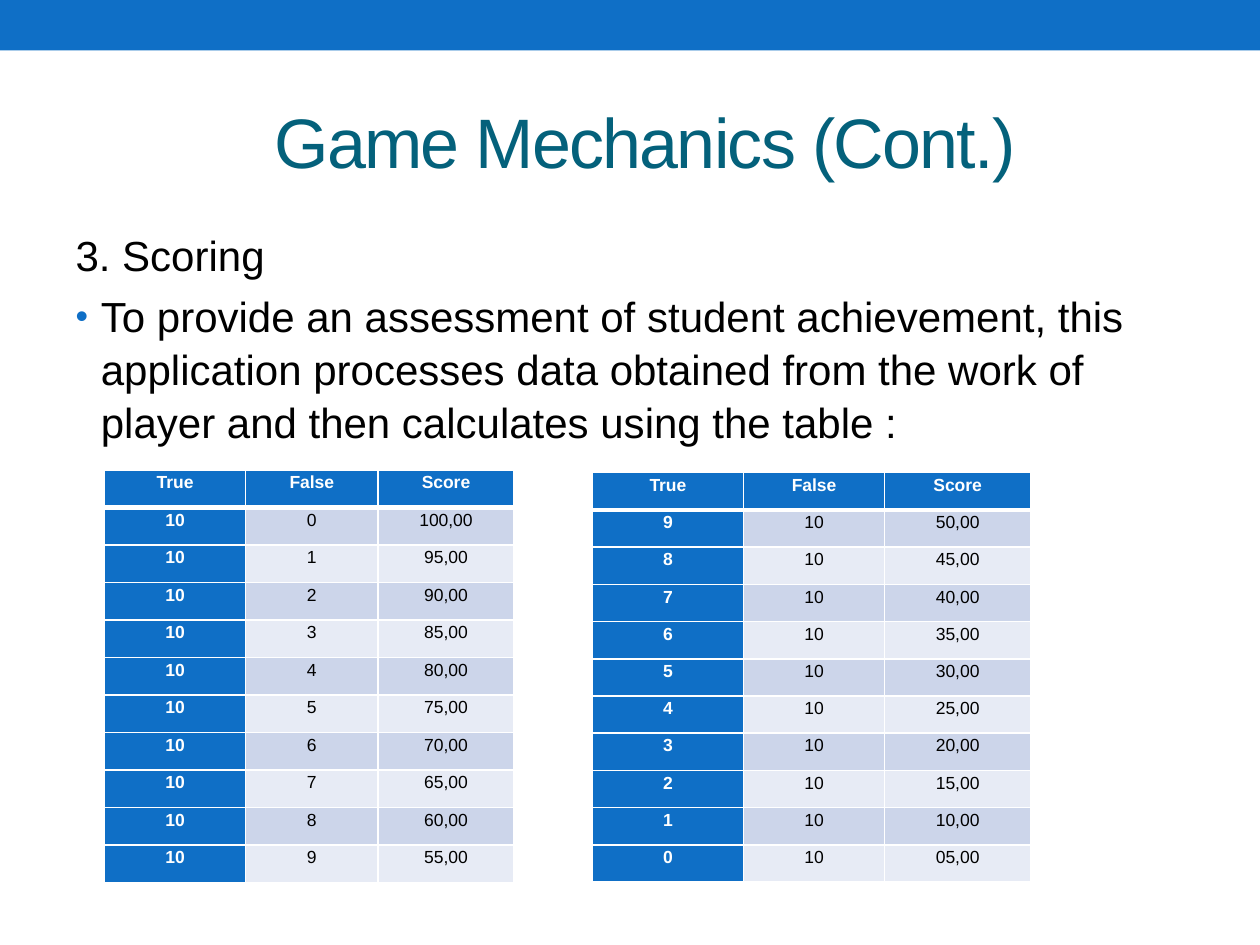
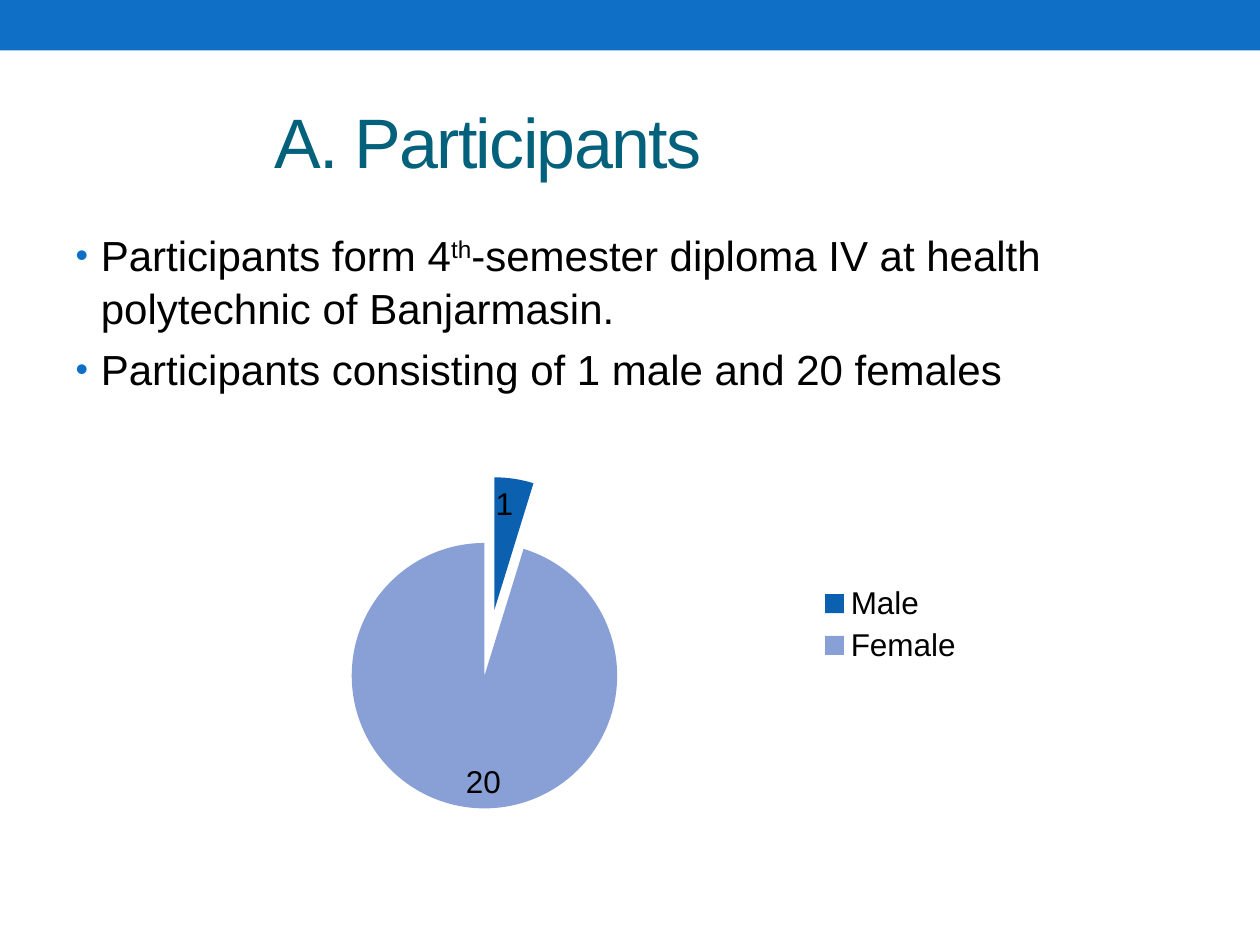
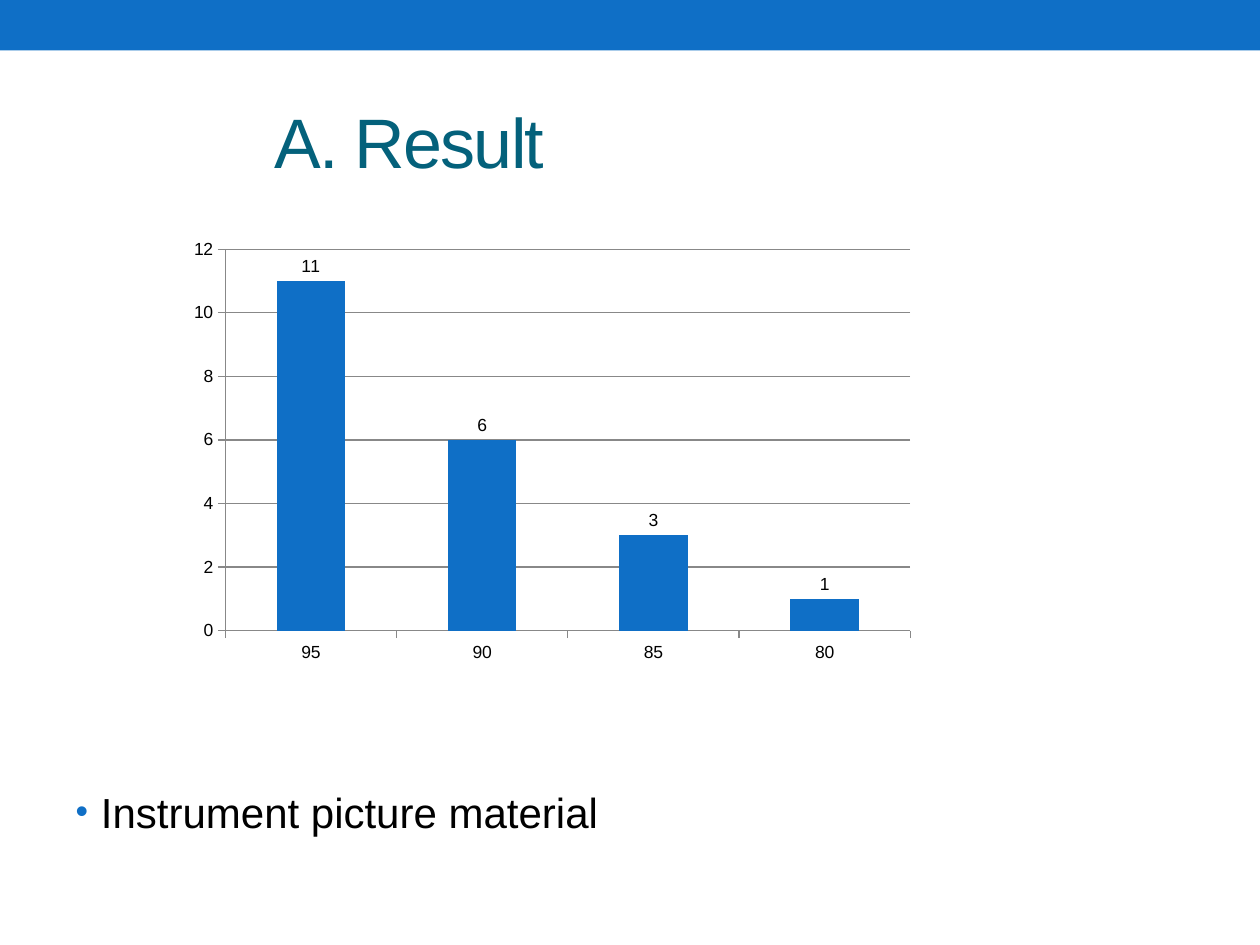
"""Build three slides on game scoring, participants and results."""
import pptx
import pptx.chart.data
import pptx.dml.color
import pptx.enum.chart
import pptx.enum.shapes
import pptx.enum.text
import pptx.oxml
import pptx.oxml.ns
import pptx.util

Cm = pptx.util.Cm
Pt = pptx.util.Pt
RGB = pptx.dml.color.RGBColor.from_string
XL = pptx.enum.chart
NS = pptx.oxml.ns.nsdecls("a")

THEME = {
    "font": "Arial",
    "blue": "0F6FC6", "title": "04617B", "text": "000000", "white": "FFFFFF",
    "row_dark": "CCD5EA", "row_light": "E7EBF5", "grid": "888888",
    "male": "0B61B0", "female": "88A0D6",
    "title_size": 40, "body_size": 24, "pie_size": 18, "small_size": 10,
}


def set_font(f, size, color, bold=False):
    values = {"name": THEME["font"], "size": Pt(THEME[size]), "bold": bold}
    for name, value in values.items():
        setattr(f, name, value)
    f.color.rgb = RGB(THEME[color])


def place(sp, left, top, width, height):
    box = {"left": left, "top": top, "width": width, "height": height}
    for name, value in box.items():
        setattr(sp, name, Cm(value))


prs = pptx.Presentation()
prs.slide_width, prs.slide_height = Cm(25.4), Cm(19.05)

pages = [
    {"title": "Game Mechanics (Cont.)", "body": (4.45, 13.54), "items": [
        (False, ["3. Scoring"]),
        (True, ["To provide an assessment of student achievement, this application "
                "processes data obtained from the work of player and then "
                "calculates using the table :"]),
    ]},
    {"title": "A. Participants", "body": (4.45, 13.54), "items": [
        (True, ["Participants form 4", "th",
                "-semester diploma IV at health polytechnic of Banjarmasin."]),
        (True, ["Participants consisting of 1 male and 20 females"]),
    ]},
    {"title": "A. Result", "body": (15.67, 2.34), "items": [
        (True, ["Instrument picture material"]),
    ]},
]

slides = []
for page in pages:
    s = prs.slides.add_slide(prs.slide_layouts[1])
    slides.append(s)

    place(s.shapes.title, 5.28, 1.47, 18.85, 2.74)
    tf = s.shapes.title.text_frame
    tf.vertical_anchor = pptx.enum.text.MSO_ANCHOR.MIDDLE
    tf.auto_size = pptx.enum.text.MSO_AUTO_SIZE.NONE
    p = tf.paragraphs[0]
    p.alignment = pptx.enum.text.PP_ALIGN.LEFT
    r = p.add_run()
    r.text = page["title"]
    set_font(r.font, "title_size", "title")
    r.font._element.set("spc", "-100")

    top, height = page["body"]
    place(s.placeholders[1], 1.27, top, 22.86, height)
    tf = s.placeholders[1].text_frame
    tf.auto_size = pptx.enum.text.MSO_AUTO_SIZE.NONE
    for i, (bulleted, texts) in enumerate(page["items"]):
        p = tf.add_paragraph() if i else tf.paragraphs[0]
        p.line_spacing = 1.05
        for text in texts:
            r = p.add_run()
            r.text = text
            set_font(r.font, "body_size", "text")
            if text == "th":
                r.font._element.set("baseline", "30000")
        pPr = p._p.get_or_add_pPr()
        indent = Cm(0.51) if bulleted else 0
        pPr.set("marL", str(indent))
        pPr.set("indent", str(-indent))
        bullet = [
            f'<a:buClr {NS}><a:srgbClr val="{THEME["blue"]}"/></a:buClr>',
            f'<a:buSzPct {NS} val="85000"/>',
            f'<a:buFont {NS} typeface="{THEME["font"]}"/>',
            f'<a:buChar {NS} char="•"/>',
        ] if bulleted else [f'<a:buNone {NS}/>']
        for xml in bullet:
            pPr.append(pptx.oxml.parse_xml(xml))

scoring, participants, result = slides

band = scoring.shapes.add_shape(
    pptx.enum.shapes.MSO_SHAPE.RECTANGLE, 0, 0, prs.slide_width, Cm(1.02))
band.shadow.inherit = False
band.fill.solid()
band.fill.fore_color.rgb = RGB(THEME["blue"])
band.line.fill.background()
prs.slide_master.shapes.element.insert(2, band._element)

header = ("True", "False", "Score")
tables = [
    (2.11, 9.48, 8.31, (2.84, 2.67, 2.74),
     [(10, i, 100 - 5 * i) for i in range(10)]),
    (11.94, 9.53, 8.26, (3.05, 2.84, 2.95),
     [(9 - i, 10, 50 - 5 * i) for i in range(10)]),
]
for left, top, height, widths, scores in tables:
    rows = [header] + [(str(t), str(f), f"{n:02d},00") for t, f, n in scores]
    table = scoring.shapes.add_table(
        len(rows), len(header), Cm(left), Cm(top), Cm(sum(widths)), Cm(height)).table
    for column, width in zip(table.columns, widths):
        column.width = Cm(width)
    for i, row in enumerate(rows):
        table.rows[i].height = Cm(height / len(rows))
        for j, text in enumerate(row):
            cell = table.cell(i, j)
            cell.margin_left = cell.margin_right = Cm(0.18)
            cell.margin_top = cell.margin_bottom = 0
            strong = i == 0 or j == 0
            fill = "blue" if strong else "row_dark" if i % 2 else "row_light"
            cell.fill.solid()
            cell.fill.fore_color.rgb = RGB(THEME[fill])
            p = cell.text_frame.paragraphs[0]
            p.alignment = pptx.enum.text.PP_ALIGN.CENTER
            p.line_spacing = 1.15
            r = p.add_run()
            r.text = text
            set_font(r.font, "small_size", "white" if strong else "text", strong)
            for k, side in enumerate("LRTB"):
                thick = (i == 0 and side == "B") or (i == 1 and side == "T")
                cell._tc.get_or_add_tcPr().insert(k, pptx.oxml.parse_xml(
                    f'<a:ln{side} {NS} w="{Pt(3 if thick else 1)}"><a:solidFill>'
                    f'<a:srgbClr val="{THEME["white"]}"/></a:solidFill></a:ln{side}>'))

charts = [
    (participants, XL.XL_CHART_TYPE.PIE, (3.18, 8.46, 16.51, 8.26), "pie_size",
     ("Male", "Female"), (1, 20), XL.XL_LABEL_POSITION.INSIDE_END),
    (result, XL.XL_CHART_TYPE.COLUMN_CLUSTERED, (3.61, 4.65, 15.04, 8.89), "small_size",
     ("95", "90", "85", "80"), (11, 6, 3, 1), XL.XL_LABEL_POSITION.OUTSIDE_END),
]
drawn = []
for s, kind, box, size, categories, values, position in charts:
    data = pptx.chart.data.CategoryChartData()
    data.categories = categories
    data.add_series("Series 1", values)
    chart = s.shapes.add_chart(kind, *map(Cm, box), data).chart
    chart.has_title = False
    chart.has_legend = False
    set_font(chart.font, size, "text")
    plot = chart.plots[0]
    plot.has_data_labels = True
    plot.data_labels.show_value = True
    plot.data_labels.show_percentage = False
    plot.data_labels.position = position
    set_font(plot.data_labels.font, size, "text")
    drawn.append(chart)
pie, columns = drawn

pie.has_legend = True
pie.legend.position = XL.XL_LEGEND_POSITION.RIGHT
pie.legend.include_in_layout = False
set_font(pie.legend.font, "pie_size", "text")
pie.plots[0].vary_by_categories = True
series = pie.plots[0].series[0]
for i, color in enumerate(("male", "female")):
    point = series.points[i]
    point.format.fill.solid()
    point.format.fill.fore_color.rgb = RGB(THEME[color])
C = pptx.oxml.ns.nsdecls("c")
series._element.find(pptx.oxml.ns.qn("c:dPt")).addprevious(
    pptx.oxml.parse_xml(f'<c:explosion {C} val="25"/>'))
for dPt in series._element.findall(pptx.oxml.ns.qn("c:dPt")):
    dPt.find(pptx.oxml.ns.qn("c:spPr")).addprevious(
        pptx.oxml.parse_xml(f'<c:explosion {C} val="25"/>'))
area = pie._chartSpace.chart.plotArea
for layout in area.findall(pptx.oxml.ns.qn("c:layout")):
    area.remove(layout)
frame = {"x": 0.2, "y": 0.14, "w": 0.41, "h": 0.81}
area.insert(0, pptx.oxml.parse_xml(
    f'<c:layout {C}><c:manualLayout><c:layoutTarget val="inner"/>'
    '<c:xMode val="edge"/><c:yMode val="edge"/>'
    + "".join(f'<c:{name} val="{value}"/>' for name, value in frame.items())
    + "</c:manualLayout></c:layout>"))

plot = columns.plots[0]
plot.gap_width = 150
plot.vary_by_categories = False
plot.series[0].format.fill.solid()
plot.series[0].format.fill.fore_color.rgb = RGB(THEME["blue"])
columns.value_axis.has_major_gridlines = True
columns.value_axis.major_gridlines.format.line.color.rgb = RGB(THEME["grid"])
for axis in (columns.category_axis, columns.value_axis):
    axis.major_tick_mark = XL.XL_TICK_MARK.OUTSIDE
    axis.format.line.color.rgb = RGB(THEME["grid"])
    set_font(axis.tick_labels.font, "small_size", "text")

prs.save("out.pptx")
